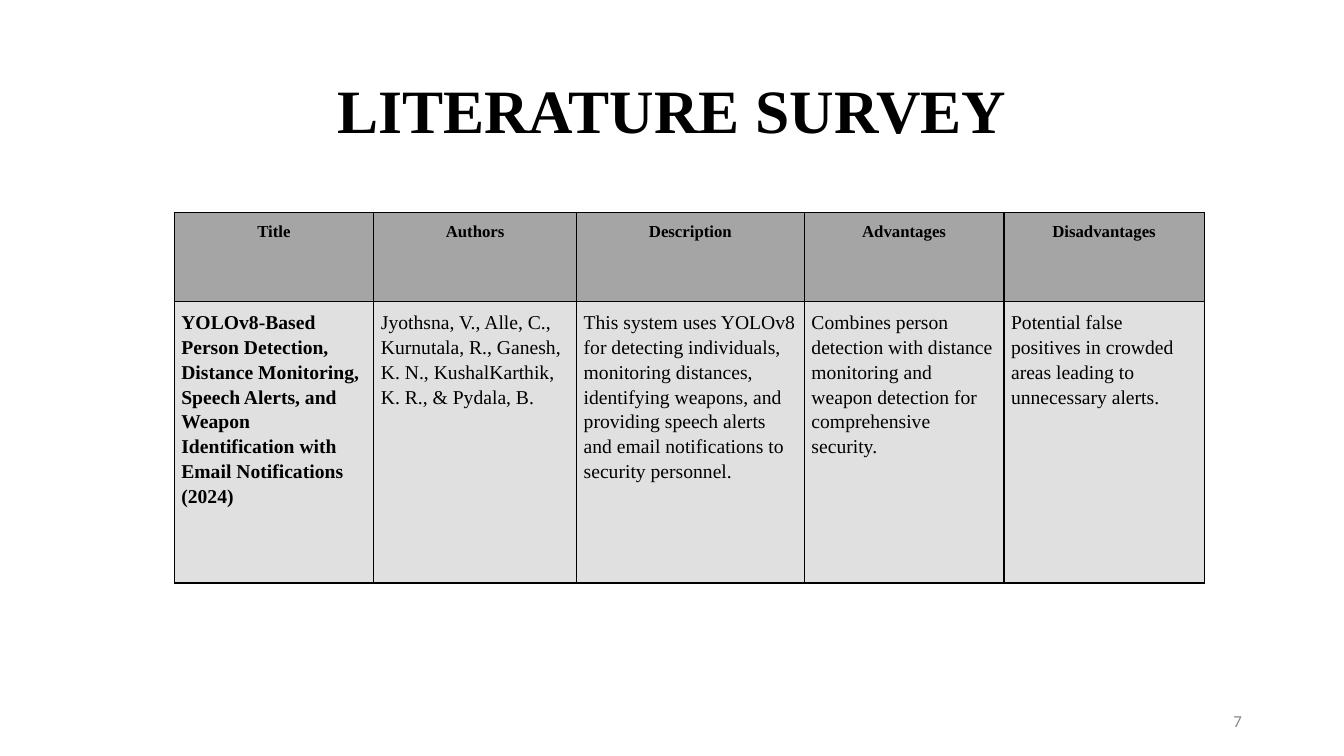
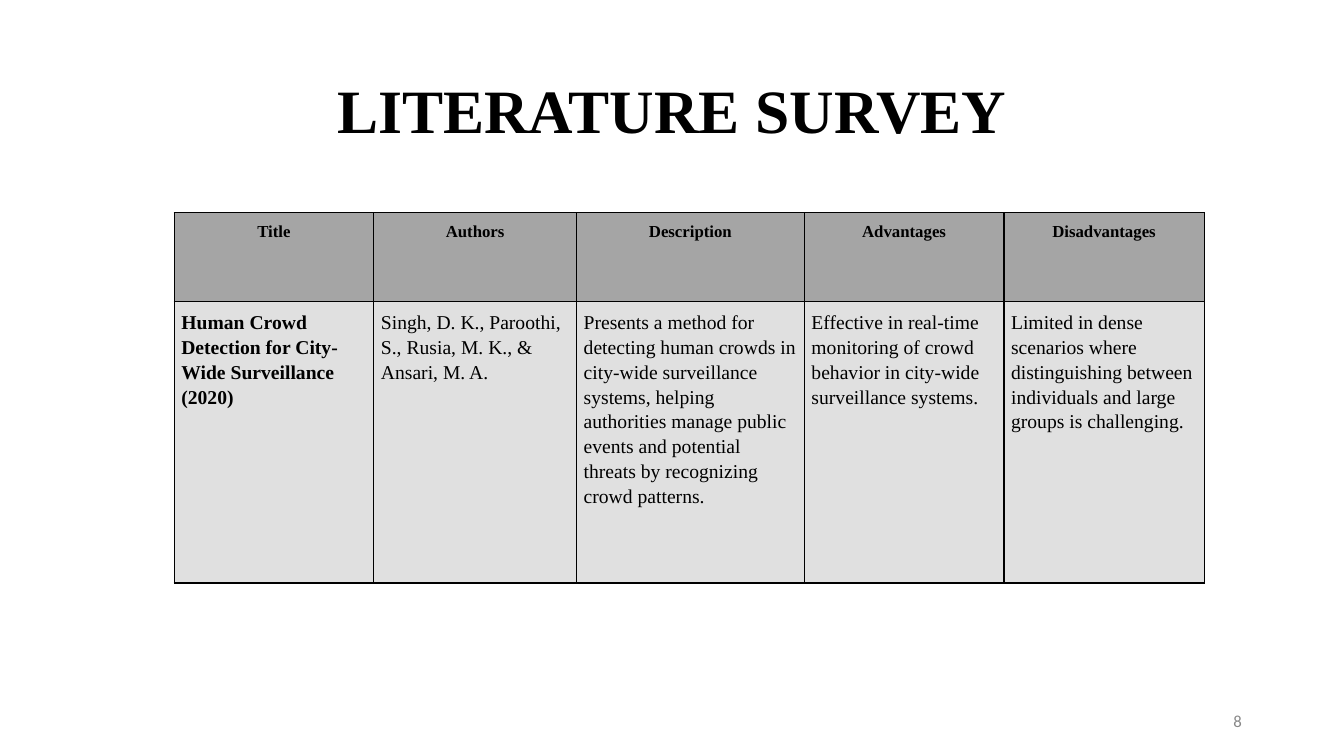
import dataclasses

import lxml.etree
import pptx
import pptx.dml.color
import pptx.enum.text
import pptx.oxml.ns
import pptx.util

Cm = pptx.util.Cm
Pt = pptx.util.Pt
Color = pptx.dml.color.RGBColor
Align = pptx.enum.text.PP_ALIGN
Anchor = pptx.enum.text.MSO_ANCHOR


@dataclasses.dataclass(frozen=True)
class Theme:
    text: str = "000000"
    muted: str = "888888"
    header_fill: str = "A5A5A5"
    body_fill: str = "E0E0E0"
    border: str = "000000"
    serif: str = "Times New Roman"
    sans: str = "Calibri"
    title_size: int = 44
    header_size: int = 12
    body_size: int = 14
    number_size: int = 12
    border_width: int = 1


@dataclasses.dataclass(frozen=True)
class Box:
    left: float
    top: float
    width: float
    height: float

    def lengths(self):
        return tuple(Cm(value) for value in dataclasses.astuple(self))


THEME = Theme()
SLIDE_WIDTH, SLIDE_HEIGHT = 33.87, 19.05
TITLE_BOX = Box(2.34, 1.02, 29.21, 3.68)
NUMBER_BOX = Box(23.93, 17.65, 7.62, 1.02)
TABLE_BOX = Box(4.39, 5.36, 25.96, 9.33)
COLUMN_WIDTHS = (5.03, 5.11, 5.74, 5.03, 5.05)
HEADER_HEIGHT = 2.24
CELL_MARGIN = 0.18
FIRST_NUMBER = 7
HEADING = "LITERATURE SURVEY"
COLUMNS = ("Title", "Authors", "Description", "Advantages", "Disadvantages")
STUDIES = (
    (
        "YOLOv8-Based Person Detection, Distance Monitoring, Speech Alerts, "
        "and Weapon Identification with Email Notifications (2024)",
        "Jyothsna, V., Alle, C., Kurnutala, R., Ganesh, K. N., "
        "KushalKarthik, K. R., & Pydala, B.",
        "This system uses YOLOv8 for detecting individuals, monitoring "
        "distances, identifying weapons, and providing speech alerts and "
        "email notifications to security personnel.",
        "Combines person detection with distance monitoring and weapon "
        "detection for comprehensive security.",
        "Potential false positives in crowded areas leading to "
        "unnecessary alerts.",
    ),
    (
        "Human Crowd Detection for City-Wide Surveillance (2020)",
        "Singh, D. K., Paroothi, S., Rusia, M. K., & Ansari, M. A.",
        "Presents a method for detecting human crowds in city-wide "
        "surveillance systems, helping authorities manage public events and "
        "potential threats by recognizing crowd patterns.",
        "Effective in real-time monitoring of crowd behavior in city-wide "
        "surveillance systems.",
        "Limited in dense scenarios where distinguishing between individuals "
        "and large groups is challenging.",
    ),
)


def write_text(text_frame, text, size, font_name, color, bold=False,
               alignment=Align.LEFT, line_spacing=1.0):
    text_frame.text = text
    text_frame.word_wrap = True
    paragraph = text_frame.paragraphs[0]
    paragraph.alignment = alignment
    paragraph.line_spacing = line_spacing
    font = paragraph.runs[0].font
    font.size = Pt(size)
    font.name = font_name
    font.bold = bold
    font.color.rgb = Color.from_string(color)


def add_title(slide, box):
    title = slide.shapes.title
    title.left, title.top, title.width, title.height = box.lengths()
    text_frame = title.text_frame
    text_frame.auto_size = pptx.enum.text.MSO_AUTO_SIZE.NONE
    text_frame.vertical_anchor = Anchor.MIDDLE
    write_text(text_frame, HEADING, THEME.title_size, THEME.serif, THEME.text,
               bold=True, alignment=Align.CENTER, line_spacing=0.9)


def add_slide_number(slide, box, number):
    text_frame = slide.shapes.add_textbox(*box.lengths()).text_frame
    text_frame.vertical_anchor = Anchor.MIDDLE
    write_text(text_frame, str(number), THEME.number_size, THEME.sans,
               THEME.muted, alignment=Align.RIGHT)


def add_borders(cell):
    properties = cell._tc.get_or_add_tcPr()
    qualified = pptx.oxml.ns.qn
    for side in ("a:lnL", "a:lnR", "a:lnT", "a:lnB"):
        line = lxml.etree.SubElement(properties, qualified(side),
                                     w=str(Pt(THEME.border_width)))
        fill = lxml.etree.SubElement(line, qualified("a:solidFill"))
        lxml.etree.SubElement(fill, qualified("a:srgbClr"), val=THEME.border)


def format_cell(cell, text, fill, size, bold, alignment):
    add_borders(cell)
    cell.fill.solid()
    cell.fill.fore_color.rgb = Color.from_string(fill)
    cell.margin_left = cell.margin_right = Cm(CELL_MARGIN)
    cell.margin_top = cell.margin_bottom = Cm(CELL_MARGIN)
    cell.vertical_anchor = Anchor.TOP
    write_text(cell.text_frame, text, size, THEME.serif, THEME.text, bold,
               alignment, line_spacing=1.15)


def add_study_table(slide, box, study):
    table = slide.shapes.add_table(2, len(COLUMNS), *box.lengths()).table
    table.first_row = table.horz_banding = False
    table.rows[0].height = Cm(HEADER_HEIGHT)
    table.rows[1].height = Cm(box.height - HEADER_HEIGHT)
    for index, (width, heading, text) in enumerate(
            zip(COLUMN_WIDTHS, COLUMNS, study)):
        table.columns[index].width = Cm(width)
        format_cell(table.cell(0, index), heading, THEME.header_fill,
                    THEME.header_size, True, Align.CENTER)
        format_cell(table.cell(1, index), text, THEME.body_fill,
                    THEME.body_size, index == 0, Align.LEFT)


def add_survey_slide(presentation, number, study):
    slide = presentation.slides.add_slide(presentation.slide_layouts[5])
    add_title(slide, TITLE_BOX)
    add_slide_number(slide, NUMBER_BOX, number)
    add_study_table(slide, TABLE_BOX, study)


def main():
    presentation = pptx.Presentation()
    presentation.slide_width = Cm(SLIDE_WIDTH)
    presentation.slide_height = Cm(SLIDE_HEIGHT)
    for number, study in enumerate(STUDIES, FIRST_NUMBER):
        add_survey_slide(presentation, number, study)
    presentation.save("out.pptx")


if __name__ == "__main__":
    main()
